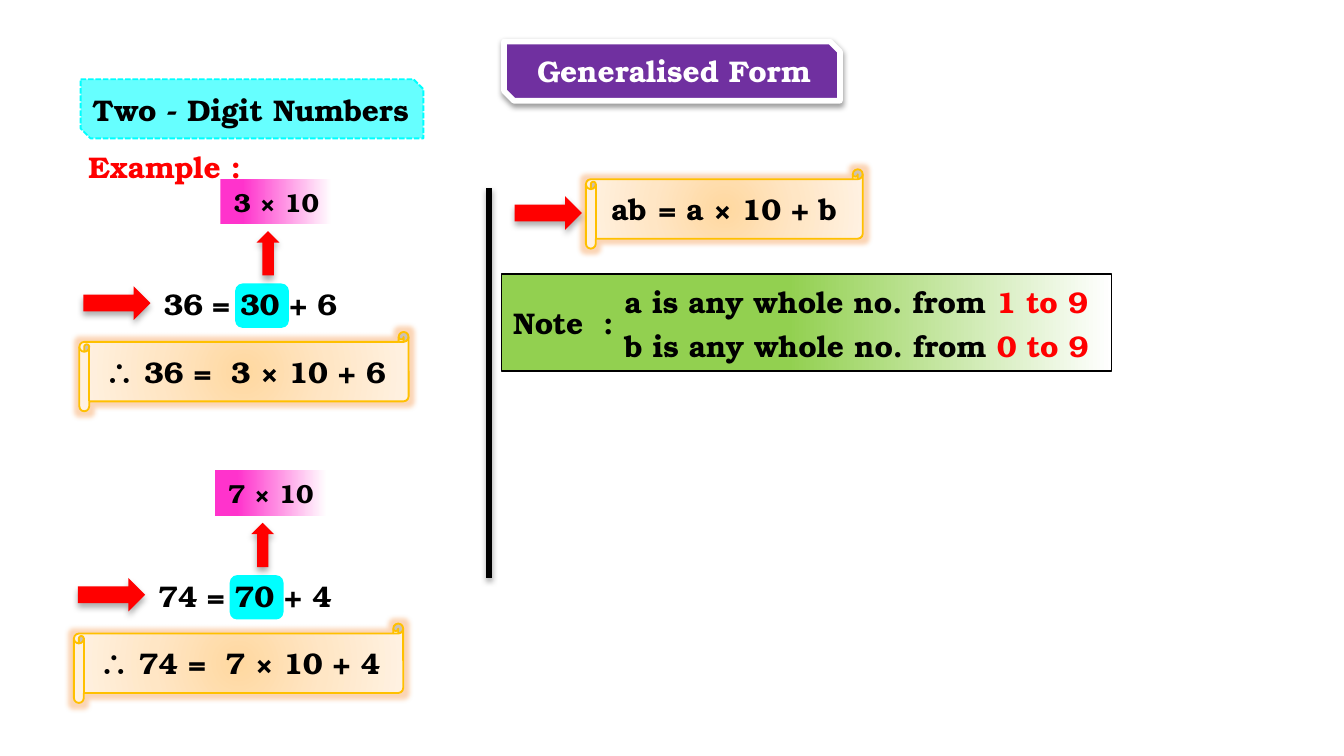
from dataclasses import dataclass

import pptx
import pptx.dml.color
import pptx.enum.dml
import pptx.enum.shapes
import pptx.enum.text
import pptx.oxml
import pptx.oxml.ns
import pptx.shapes.autoshape
import pptx.shapes.base
import pptx.slide
import pptx.util
from pptx.util import Inches

FONT = "TeX Gyre Bonum"
BLACK, WHITE, RED, CYAN = "000000", "FFFFFF", "FF0000", "00FFFF"
PINK_FADE = [(20, "FF33CC"), (100, WHITE)]
GREEN_FADE = [(47, "92D050"), (100, WHITE)]
PARCHMENT = [(0, "FFD8A0"), (50, "FFE6C5"), (100, "FFF2E3")]
PRESET = pptx.enum.shapes.MSO_SHAPE
Box = tuple[float, float, float, float]


@dataclass(frozen=True)
class Example:
    """A two-digit number split into tens and units, placed from its top left."""
    left: float
    top: float
    tens: int
    units: int


EXAMPLES = [Example(0.59, 1.33, 3, 6), Example(0.55, 3.5, 7, 4)]


def color(value: str) -> pptx.dml.color.RGBColor:
    return pptx.dml.color.RGBColor.from_string(value)


def add_effect(shape: pptx.shapes.base.BaseShape, effect: str = "") -> None:
    """Replace the theme's effects by the given effect XML."""
    properties = shape._element.spPr
    for old in properties.findall(pptx.oxml.ns.qn("a:effectLst")):
        properties.remove(old)
    properties.append(pptx.oxml.parse_xml(
        f'<a:effectLst {pptx.oxml.ns.nsdecls("a")}>{effect}</a:effectLst>'))


def add_shadow(shape: pptx.shapes.base.BaseShape, blur: float, distance: float, opacity: int) -> None:
    add_effect(shape, f'<a:outerShdw blurRad="{pptx.util.Pt(blur)}" dist="{pptx.util.Pt(distance)}" '
               f'dir="5400000" rotWithShape="0"><a:srgbClr val="{BLACK}">'
               f'<a:alpha val="{opacity * 1000}"/></a:srgbClr></a:outerShdw>')


def add_block(slide: pptx.slide.Slide, preset: PRESET, box: Box, fill: str | list[tuple[int, str]],
              line: str | None = None, width: float = 1, radial: bool = False) -> pptx.shapes.autoshape.Shape:
    shape = slide.shapes.add_shape(preset, *map(Inches, box))
    shape.shadow.inherit = False
    if isinstance(fill, str):
        shape.fill.solid()
        shape.fill.fore_color.rgb = color(fill)
    else:
        stops = "".join(f'<a:gs pos="{position * 1000}"><a:srgbClr val="{value}"/></a:gs>'
                        for position, value in fill)
        direction = ('<a:path path="circle"><a:fillToRect l="50000" t="50000" r="50000" b="50000"/></a:path>'
                     if radial else '<a:lin ang="0" scaled="0"/>')
        geometry = shape._element.spPr.find(pptx.oxml.ns.qn("a:prstGeom"))
        geometry.addnext(pptx.oxml.parse_xml(
            f'<a:gradFill {pptx.oxml.ns.nsdecls("a")} rotWithShape="1">'
            f'<a:gsLst>{stops}</a:gsLst>{direction}</a:gradFill>'))
    if line:
        shape.line.color.rgb = color(line)
        shape.line.width = pptx.util.Pt(width)
    else:
        shape.line.fill.background()
    return shape


def write(shape: pptx.shapes.base.BaseShape, runs: list[tuple[str, str]], size: int = 16, wrap: bool = True,
          centered: bool = False, tab: float | None = None) -> None:
    """Fill a shape with one bold paragraph of (text, colour) runs."""
    frame = shape.text_frame
    frame.word_wrap = wrap
    frame.auto_size = pptx.enum.text.MSO_AUTO_SIZE.SHAPE_TO_FIT_TEXT
    paragraph = frame.paragraphs[0]
    alignment = pptx.enum.text.PP_ALIGN
    paragraph.alignment = alignment.CENTER if centered else alignment.LEFT
    if tab is not None:
        paragraph._p.get_or_add_pPr().append(pptx.oxml.parse_xml(
            f'<a:tabLst {pptx.oxml.ns.nsdecls("a")}><a:tab pos="{Inches(tab)}" algn="l"/></a:tabLst>'))
    paragraph.font.name = FONT
    paragraph.font.size = pptx.util.Pt(size)
    paragraph.font.bold = True
    if len(runs) == 1:
        paragraph.font.color.rgb = color(runs[0][1])
    for text, text_color in runs:
        run = paragraph.add_run()
        run.text = text
        if len(runs) > 1:
            run.font.color.rgb = color(text_color)


def add_label(slide: pptx.slide.Slide, left: float, top: float, width: float, *runs: tuple[str, str],
              wrap: bool = True, centered: bool = False, tab: float | None = None) -> None:
    box = slide.shapes.add_textbox(*map(Inches, (left, top, width, 0.37)))
    write(box, list(runs), wrap=wrap, centered=centered, tab=tab)


def add_arrow(slide: pptx.slide.Slide, preset: PRESET, box: Box) -> None:
    add_shadow(add_block(slide, preset, box, RED), 3.5, 2.2, 32)


def add_scroll(slide: pptx.slide.Slide, left: float, top: float, width: float) -> None:
    scroll = add_block(slide, PRESET.HORIZONTAL_SCROLL, (left, top, width, 0.59), PARCHMENT, "FFC000", radial=True)
    add_effect(scroll, f'<a:glow rad="{pptx.util.Pt(5)}"><a:srgbClr val="F79646">'
               '<a:alpha val="40000"/></a:srgbClr></a:glow>')


def add_example(slide: pptx.slide.Slide, example: Example) -> None:
    left, top, tens, units = example.left, example.top, example.tens, example.units
    number = tens * 10 + units
    product = add_block(slide, PRESET.RECTANGLE, (left + 1.05, top, 0.83, 0.34), PINK_FADE)
    write(product, [(f"{tens} × 10", BLACK)], size=14, wrap=False)
    product.text_frame.margin_right = Inches(0.05)
    add_block(slide, PRESET.ROUNDED_RECTANGLE, (left + 1.16, top + 0.78, 0.4, 0.33), CYAN)
    add_label(slide, left + 0.53, top + 0.75, 0.5, (str(number), BLACK), wrap=False)
    add_label(slide, left + 0.89, top + 0.75, 1.15, (f"= {tens * 10} + {units}", BLACK), wrap=False)
    add_arrow(slide, PRESET.UP_ARROW, (left + 1.32, top + 0.39, 0.17, 0.33))
    add_arrow(slide, PRESET.RIGHT_ARROW, (left + 0.03, top + 0.8, 0.5, 0.25))
    add_scroll(slide, left, top + 1.14, 2.45)
    add_label(slide, left + 0.09, top + 1.25, 2.66,
              (f"∴ {number} =\t{tens} × 10 + {units}", BLACK), tab=0.94)


def add_headings(slide: pptx.slide.Slide) -> None:
    title = add_block(slide, PRESET.SNIP_2_DIAG_RECTANGLE, (3.75, 0.31, 2.5, 0.44), "7030A0", WHITE, 3)
    add_shadow(title, 3.1, 1.6, 38)
    add_label(slide, 3.79, 0.34, 2.45, ("Generalised Form", WHITE), centered=True)
    heading = add_block(slide, PRESET.SNIP_2_DIAG_RECTANGLE, (0.6, 0.59, 2.55, 0.44), "66FFFF", CYAN)
    heading.line.dash_style = pptx.enum.dml.MSO_LINE.SQUARE_DOT
    add_label(slide, 0.59, 0.63, 2.69, ("Two - Digit Numbers", BLACK))
    add_label(slide, 0.56, 1.06, 1.36, ("Example :", RED), wrap=False)


def add_general_form(slide: pptx.slide.Slide) -> None:
    divider = slide.shapes.add_connector(pptx.enum.shapes.MSO_CONNECTOR.STRAIGHT,
                                         *map(Inches, (3.64, 1.4, 3.64, 4.3)))
    divider.line.color.rgb = color(BLACK)
    divider.line.width = pptx.util.Pt(3)
    add_shadow(divider, 3.1, 1.8, 35)
    add_scroll(slide, 4.36, 1.26, 2.06)
    add_arrow(slide, PRESET.RIGHT_ARROW, (3.83, 1.46, 0.5, 0.25))
    add_label(slide, 4.45, 1.37, 0.47, ("ab", BLACK), wrap=False)
    add_label(slide, 4.8, 1.37, 1.8, ("= a × 10 + b", BLACK))

    add_block(slide, PRESET.RECTANGLE, (3.73, 2.04, 4.54, 0.72), GREEN_FADE, BLACK, 0.75)
    add_label(slide, 3.72, 2.22, 1.02, ("Note\t:", BLACK), tab=0.67)
    for top, letter, limits in ((2.06, "a", "1 to 9"), (2.39, "b", "0 to 9")):
        add_label(slide, 4.55, top, 3.94, (f"{letter} is any whole no. from ", BLACK), (limits, RED))


def main() -> None:
    presentation = pptx.Presentation()
    presentation.slide_width = Inches(10)
    presentation.slide_height = presentation.slide_width * 9 // 16
    slide = presentation.slides.add_slide(presentation.slide_layouts[6])
    add_headings(slide)
    add_general_form(slide)
    for example in EXAMPLES:
        add_example(slide, example)
    presentation.save("out.pptx")


if __name__ == "__main__":
    main()
